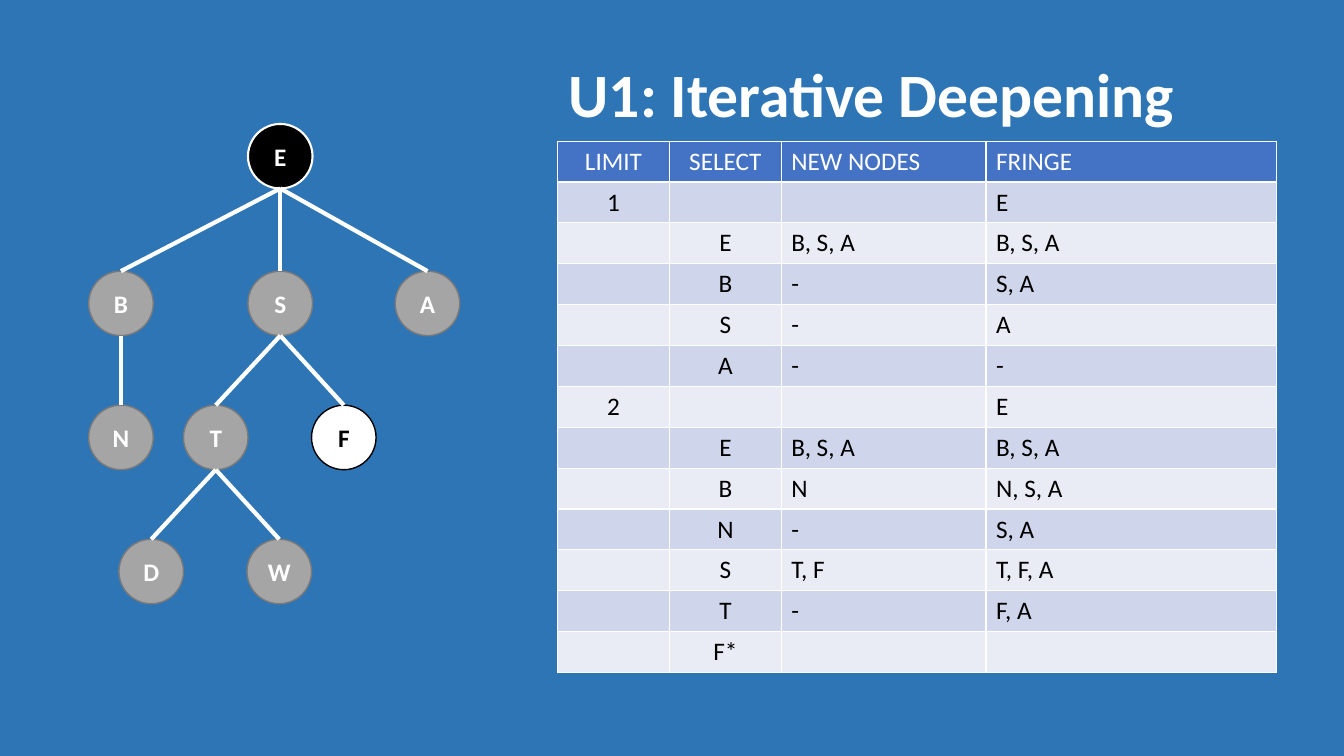
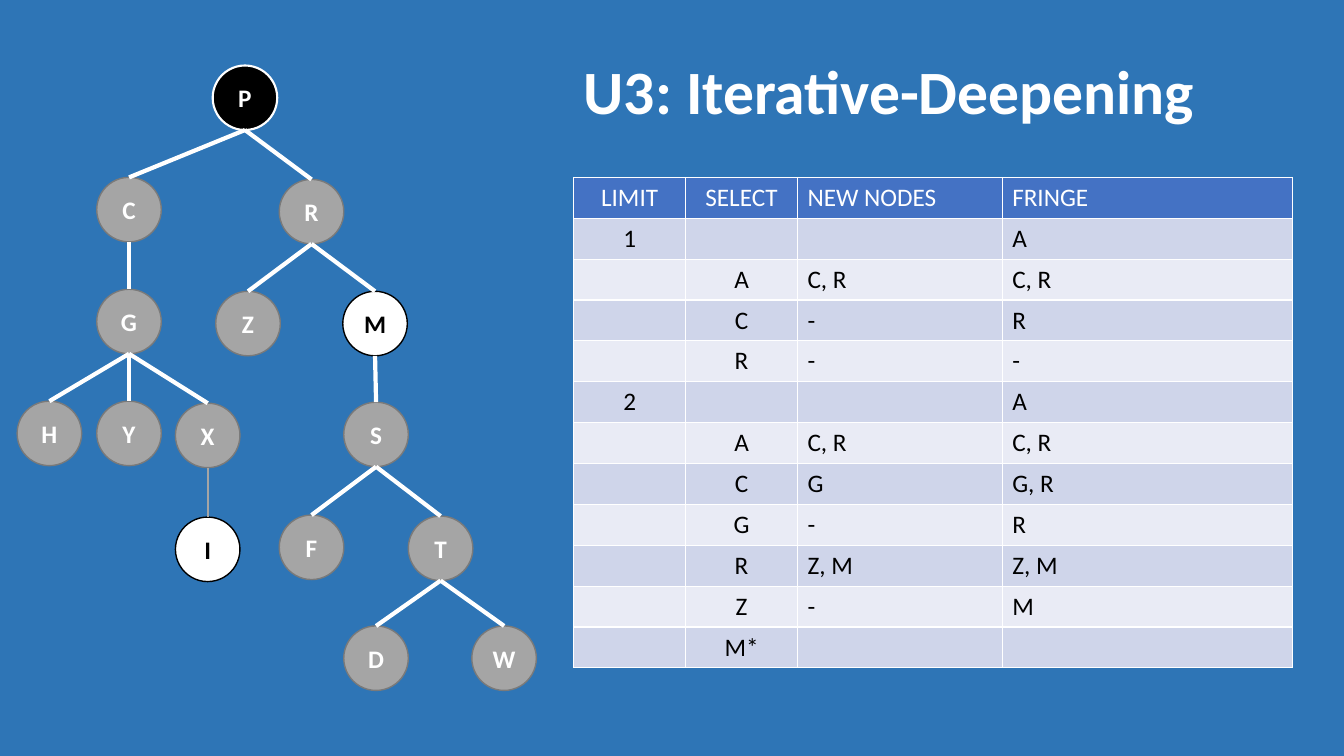
"""Build two slides that trace iterative deepening on search trees."""
from dataclasses import dataclass

import lxml.etree
import pptx
import pptx.dml.color
import pptx.dml.fill
import pptx.enum.shapes
import pptx.enum.text
import pptx.oxml.ns
import pptx.shapes.autoshape
import pptx.slide
import pptx.table
import pptx.text.text
import pptx.util
from pptx.util import Inches

COLORS = {
    "background": "2E75B6",
    "white": "FFFFFF",
    "black": "000000",
    "node": "A5A5A5",
    "outline": "7A7A7A",
    "header": "4472C4",
    "odd_row": "CFD5EA",
    "even_row": "E9EBF5",
}
FONT = "Calibri"
NODE_SIZE = 0.64
TITLE_SIZE = (7.13, 1.45)
COLUMN_WIDTHS = (1.11, 1.11, 2.03, 2.88)
CENTERED_COLUMNS = 2
HEADER = ("LIMIT", "SELECT", "NEW NODES", "FRINGE")


@dataclass(frozen=True)
class NodeStyle:
    fill: str
    line: str
    line_width: float
    text: str


@dataclass(frozen=True)
class EdgeStyle:
    color: str
    width: float


ROOT = NodeStyle("black", "white", 1.5, "white")
INNER = NodeStyle("node", "outline", 1, "white")
GOAL = NodeStyle("white", "black", 1, "black")
THICK = EdgeStyle("white", 3)
THIN = EdgeStyle("node", 1.5)


@dataclass(frozen=True)
class Node:
    name: str
    left: float
    top: float
    parent: str = ""
    style: NodeStyle = INNER
    edge: EdgeStyle = THICK


@dataclass(frozen=True)
class Trace:
    left: float
    top: float
    height: float
    rows: tuple[tuple[str, str, str, str], ...]


@dataclass(frozen=True)
class SearchSlide:
    title: str
    title_left: float
    title_top: float
    nodes: tuple[Node, ...]
    trace: Trace


SLIDES = (
    SearchSlide(
        "U1: Iterative Deepening", 5.54, 0.24,
        (
            Node("E", 2.46, 1.23, style=ROOT),
            Node("B", 0.88, 2.69, "E"),
            Node("S", 2.46, 2.69, "E"),
            Node("A", 3.92, 2.69, "E"),
            Node("N", 0.88, 4.02, "B"),
            Node("T", 1.82, 4.02, "S"),
            Node("F", 3.09, 4.02, "S", GOAL),
            Node("D", 1.18, 5.35, "T"),
            Node("W", 2.45, 5.35, "T"),
        ),
        Trace(5.53, 1.4, 5.27, (
            ("1", "", "", "E"),
            ("", "E", "B, S, A", "B, S, A"),
            ("", "B", "-", "S, A"),
            ("", "S", "-", "A"),
            ("", "A", "-", "-"),
            ("2", "", "", "E"),
            ("", "E", "B, S, A", "B, S, A"),
            ("", "B", "N", "N, S, A"),
            ("", "N", "-", "S, A"),
            ("", "S", "T, F", "T, F, A"),
            ("", "T", "-", "F, A"),
            ("", "F*", "", ""),
        )),
    ),
    SearchSlide(
        "U3: Iterative-Deepening", 5.69, 0.21,
        (
            Node("P", 2.11, 0.65, style=ROOT),
            Node("C", 0.96, 1.76, "P"),
            Node("R", 2.77, 1.78, "P"),
            Node("G", 0.96, 2.87, "C"),
            Node("Z", 2.14, 2.89, "R"),
            Node("M", 3.4, 2.89, "R", GOAL),
            Node("H", 0.17, 3.98, "G"),
            Node("Y", 0.96, 3.98, "G"),
            Node("X", 1.74, 4, "G"),
            Node("S", 3.41, 3.99, "M"),
            Node("I", 1.74, 5.13, "X", GOAL, THIN),
            Node("F", 2.77, 5.11, "S"),
            Node("T", 4.05, 5.12, "S"),
            Node("D", 3.41, 6.21, "T"),
            Node("W", 4.68, 6.21, "T"),
        ),
        Trace(5.69, 1.76, 4.87, (
            ("1", "", "", "A"),
            ("", "A", "C, R", "C, R"),
            ("", "C", "-", "R"),
            ("", "R", "-", "-"),
            ("2", "", "", "A"),
            ("", "A", "C, R", "C, R"),
            ("", "C", "G", "G, R"),
            ("", "G", "-", "R"),
            ("", "R", "Z, M", "Z, M"),
            ("", "Z", "-", "M"),
            ("", "M*", "", ""),
        )),
    ),
)


def rgb(name: str) -> pptx.dml.color.RGBColor:
    return pptx.dml.color.RGBColor.from_string(COLORS[name])


def paint(fill: pptx.dml.fill.FillFormat, color: str) -> None:
    fill.solid()
    fill.fore_color.rgb = rgb(color)


def write(tf: pptx.text.text.TextFrame, text: str, size: float, color: str,
          bold: bool, centered: bool) -> None:
    align = pptx.enum.text.PP_ALIGN
    tf.text = text
    p = tf.paragraphs[0]
    p.alignment = align.CENTER if centered else align.LEFT
    p.font.name = FONT
    p.font.size = pptx.util.Pt(size)
    p.font.bold = bold
    p.font.color.rgb = rgb(color)


def add_title(s: pptx.slide.Slide, page: SearchSlide) -> None:
    sp = s.shapes.title
    sp.left, sp.top = Inches(page.title_left), Inches(page.title_top)
    sp.width, sp.height = (Inches(length) for length in TITLE_SIZE)
    tf = sp.text_frame
    tf.auto_size = pptx.enum.text.MSO_AUTO_SIZE.NONE
    tf.vertical_anchor = pptx.enum.text.MSO_ANCHOR.MIDDLE
    write(tf, page.title, 44, "white", True, False)
    tf.paragraphs[0].line_spacing = 0.9


def add_node(s: pptx.slide.Slide, node: Node) -> pptx.shapes.autoshape.Shape:
    size = Inches(NODE_SIZE)
    sp = s.shapes.add_shape(pptx.enum.shapes.MSO_SHAPE.OVAL,
                            Inches(node.left), Inches(node.top), size, size)
    sp.shadow.inherit = False
    paint(sp.fill, node.style.fill)
    paint(sp.line.fill, node.style.line)
    sp.line.width = pptx.util.Pt(node.style.line_width)
    tf = sp.text_frame
    tf.margin_left = tf.margin_right = tf.margin_top = tf.margin_bottom = 0
    tf.vertical_anchor = pptx.enum.text.MSO_ANCHOR.MIDDLE
    write(tf, node.name, 18, node.style.text, True, True)
    return sp


def add_edge(s: pptx.slide.Slide, parent: pptx.shapes.autoshape.Shape,
             child: pptx.shapes.autoshape.Shape, style: EdgeStyle) -> None:
    line = s.shapes.add_connector(
        pptx.enum.shapes.MSO_CONNECTOR.STRAIGHT,
        parent.left + parent.width // 2, parent.top + parent.height,
        child.left + child.width // 2, child.top)
    paint(line.line.fill, style.color)
    line.line.width = pptx.util.Pt(style.width)
    lxml.etree.SubElement(line._element.spPr, pptx.oxml.ns.qn("a:effectLst"))


def add_tree(s: pptx.slide.Slide, nodes: tuple[Node, ...]) -> None:
    shapes = {node.name: add_node(s, node) for node in nodes}
    for node in nodes:
        if node.parent:
            add_edge(s, shapes[node.parent], shapes[node.name], node.edge)


def add_borders(cell: pptx.table._Cell) -> None:
    qn = pptx.oxml.ns.qn
    props = cell._tc.get_or_add_tcPr()
    for i, side in enumerate(("a:lnL", "a:lnR", "a:lnT", "a:lnB")):
        border = lxml.etree.Element(qn(side), w=str(pptx.util.Pt(1)))
        fill = lxml.etree.SubElement(border, qn("a:solidFill"))
        lxml.etree.SubElement(fill, qn("a:srgbClr"), val=COLORS["white"])
        props.insert(i, border)


def add_trace(s: pptx.slide.Slide, trace: Trace) -> None:
    rows = (HEADER, *trace.rows)
    table = s.shapes.add_table(
        len(rows), len(HEADER), Inches(trace.left), Inches(trace.top),
        Inches(sum(COLUMN_WIDTHS)), Inches(trace.height)).table
    for column, width in zip(table.columns, COLUMN_WIDTHS):
        column.width = Inches(width)
    for i, row in enumerate(rows):
        fill = "header" if i == 0 else "odd_row" if i % 2 else "even_row"
        color = "white" if i == 0 else "black"
        for j, text in enumerate(row):
            cell = table.cell(i, j)
            paint(cell.fill, fill)
            add_borders(cell)
            write(cell.text_frame, text, 18, color, False, j < CENTERED_COLUMNS)


def main() -> None:
    prs = pptx.Presentation()
    prs.slide_width, prs.slide_height = Inches(13.33), Inches(7.5)
    paint(prs.slide_master.background.fill, "background")
    title_only = prs.slide_layouts[5]
    for page in SLIDES:
        s = prs.slides.add_slide(title_only)
        add_title(s, page)
        add_tree(s, page.nodes)
        add_trace(s, page.trace)
    prs.save("out.pptx")


if __name__ == "__main__":
    main()
